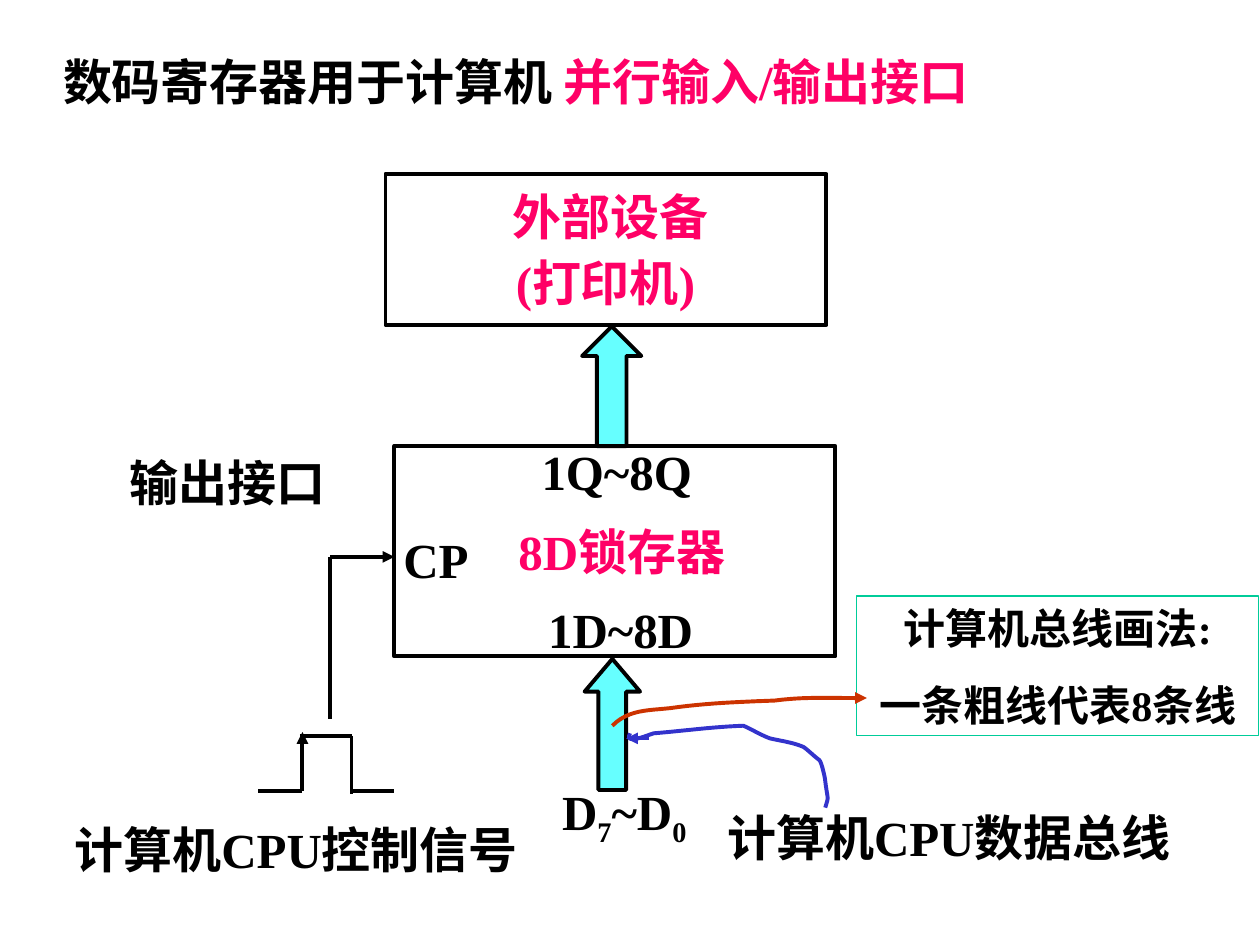
import pptx
import pptx.dml.color
import pptx.enum.shapes
import pptx.enum.text
import pptx.oxml
import pptx.oxml.ns
import pptx.util
from pptx.util import Inches

BLACK, PINK, CYAN = "000000", "FF0066", "66FFFF"
BLUE, RUST, GREEN = "3333CC", "CC3300", "00CC99"
SHAPE = pptx.enum.shapes.MSO_SHAPE
ALIGN = pptx.enum.text.PP_ALIGN


def rgb(value):
    return pptx.dml.color.RGBColor.from_string(value)


def add_xml(parent, tag, **attrs):
    child = pptx.oxml.parse_xml(f"<a:{tag} {pptx.oxml.ns.nsdecls('a')}/>")
    for key, value in attrs.items():
        child.set(key, value)
    parent.append(child)


def bezier(start, curves, steps=12):
    """Points along joined cubic curves, each given as two controls and an end."""
    points = [start]
    for c1, c2, end in curves:
        for i in range(1, steps + 1):
            t = i / steps
            u = 1 - t
            points.append(tuple(
                u**3 * a + 3 * u * u * t * b + 3 * u * t * t * c + t**3 * d
                for a, b, c, d in zip(start, c1, c2, end)))
        start = end
    return points


class Diagram:
    font = {"name": "Times New Roman", "bold": True}
    frame = {
        "margin_left": Inches(0.1), "margin_right": Inches(0.1),
        "margin_top": Inches(0.05), "margin_bottom": Inches(0.05),
        "vertical_anchor": pptx.enum.text.MSO_ANCHOR.MIDDLE,
        "auto_size": pptx.enum.text.MSO_AUTO_SIZE.NONE, "word_wrap": False,
    }

    def __init__(self, slide):
        self.slide = slide
        self.shapes = slide.shapes

    def set_text(self, sp, lines, size=28, align=ALIGN.CENTER):
        """Each line is a list of (text, colour, baseline percent) runs."""
        tf = sp.text_frame
        for name, value in self.frame.items():
            setattr(tf, name, value)
        for i, runs in enumerate(lines):
            p = tf.add_paragraph() if i else tf.paragraphs[0]
            p.alignment = align
            p.space_before = pptx.util.Pt(15 if i else 0)
            for text, color, baseline in runs:
                r = p.add_run()
                r.text = text
                for name, value in self.font.items():
                    setattr(r.font, name, value)
                r.font.size = pptx.util.Pt(size)
                r.font.color.rgb = rgb(color)
                if baseline:
                    r.font._element.set("baseline", str(baseline * 1000))

    def title(self, x, y, w, h, runs):
        sp = self.shapes.title
        sp.left, sp.top, sp.width, sp.height = map(Inches, (x, y, w, h))
        self.set_text(sp, [runs], align=ALIGN.LEFT)

    def label(self, x, y, w, *runs, h=0.57):
        sp = self.shapes.add_textbox(*map(Inches, (x, y, w, h)))
        self.set_text(sp, [runs])

    def outline(self, sp, color, width):
        sp.line.color.rgb = rgb(color)
        sp.line.width = pptx.util.Pt(width)

    def shape(self, kind, x, y, w, h, fill=None, line=BLACK, width=2.25):
        sp = self.shapes.add_shape(kind, *map(Inches, (x, y, w, h)))
        sp.shadow.inherit = False
        if fill:
            sp.fill.solid()
            sp.fill.fore_color.rgb = rgb(fill)
        else:
            sp.fill.background()
        self.outline(sp, line, width)
        return sp

    def bus_arrow(self, x, y, w, h, head):
        sp = self.shape(SHAPE.UP_ARROW, x, y, w, h, fill=CYAN)
        sp.adjustments[0], sp.adjustments[1] = 0.5, head

    def line(self, start, end, color=BLACK, arrow=False):
        sp = self.shapes.add_connector(
            pptx.enum.shapes.MSO_CONNECTOR.STRAIGHT,
            *map(Inches, (*start, *end)))
        self.outline(sp, color, 2.25)
        if arrow:
            add_xml(sp.line._get_or_add_ln(), "tailEnd", type="triangle")
        add_xml(sp._element.spPr, "effectLst")

    def curve(self, start, curves, color):
        points = [(Inches(x), Inches(y)) for x, y in bezier(start, curves)]
        builder = self.shapes.build_freeform(*points[0])
        builder.add_line_segments(points[1:], close=False)
        sp = builder.convert_to_shape()
        sp.shadow.inherit = False
        sp.fill.background()
        self.outline(sp, color, 2.25)


def main():
    prs = pptx.Presentation()
    prs.slide_width, prs.slide_height = Inches(10), Inches(7.5)
    s = Diagram(prs.slides.add_slide(prs.slide_layouts[5]))

    s.title(0.4, 0.36, 7.57, 0.57, [("数码寄存器用于计算机 ", BLACK, 0),
                                    ("并行输入/输出接口", PINK, 0)])

    # Bus arrows
    s.bus_arrow(4.64, 5.23, 0.44, 1.04, 0.59)
    s.bus_arrow(4.62, 2.59, 0.47, 0.95, 0.5)

    # External device and latch
    s.shape(SHAPE.RECTANGLE, 3.06, 1.38, 3.5, 1.2)
    s.shape(SHAPE.RECTANGLE, 3.13, 3.54, 3.5, 1.67)

    # Labels
    for x, y, w, text, color in [
        (3.97, 1.43, 1.75, "外部设备", PINK),
        (3.9, 1.95, 1.81, "(打印机)", PINK),
        (3.97, 4.09, 1.93, "8D锁存器", PINK),
        (4.25, 4.71, 1.35, "1D~8D", BLACK),
        (4.2, 3.45, 1.39, "1Q~8Q", BLACK),
        (3.1, 4.15, 0.72, "CP", BLACK),
        (0.4, 6.45, 3.9, "计算机CPU控制信号", BLACK),
        (5.58, 6.36, 3.9, "计算机CPU数据总线", BLACK),
        (0.93, 3.54, 1.75, "输出接口", BLACK),
    ]:
        s.label(x, y, w, (text, color, 0))
    s.label(4.34, 6.15, 1.23, ("D", BLACK, 0), ("7", BLACK, -25),
            ("~D", BLACK, 0), ("0", BLACK, -25), h=0.63)

    # Clock line and control pulse
    for start, end, arrow in [
        ((2.62, 4.42), (3.13, 4.42), True),
        ((2.62, 4.42), (2.62, 5.71), False),
        ((2.05, 6.28), (2.4, 6.28), False),
        ((2.4, 6.28), (2.4, 5.81), True),
        ((2.38, 5.84), (2.79, 5.84), False),
        ((2.79, 5.84), (2.79, 6.3), False),
        ((2.78, 6.28), (3.13, 6.28), False),
    ]:
        s.line(start, end, arrow=arrow)

    # Pointer from the data bus label
    s.curve((6.55, 6.41), [
        ((6.58, 6.31), (6.57, 6.36), (6.55, 6.2)),
        ((6.55, 6.18), (6.52, 6.04), (6.5, 6.03)),
        ((6.46, 6), (6.42, 5.96), (6.38, 5.93)),
        ((6.29, 5.89), (6.19, 5.88), (6.11, 5.86)),
        ((6.03, 5.83), (5.97, 5.79), (5.9, 5.76)),
        ((5.64, 5.77), (5.44, 5.8), (5.19, 5.82)),
        ((5.15, 5.83), (4.95, 5.92), (5, 5.82)),
    ], BLUE)
    s.line((5.15, 5.86), (4.97, 5.86), BLUE, arrow=True)

    # Note on drawing a bus, with its pointer
    note = s.shape(SHAPE.RECTANGLE, 6.8, 4.73, 3.19, 1.11, line=GREEN, width=0.75)
    s.set_text(note, [[("计算机总线画法:", BLACK, 0)],
                      [("一条粗线代表8条线", BLACK, 0)]], size=24)
    s.curve((4.86, 5.76), [
        ((4.99, 5.63), (5.14, 5.64), (5.32, 5.62)),
        ((5.6, 5.58), (5.87, 5.57), (6.15, 5.56)),
        ((6.38, 5.53), (6.56, 5.54), (6.8, 5.54)),
    ], RUST)
    s.line((6.64, 5.54), (6.88, 5.54), RUST, arrow=True)

    prs.save("out.pptx")


if __name__ == "__main__":
    main()
